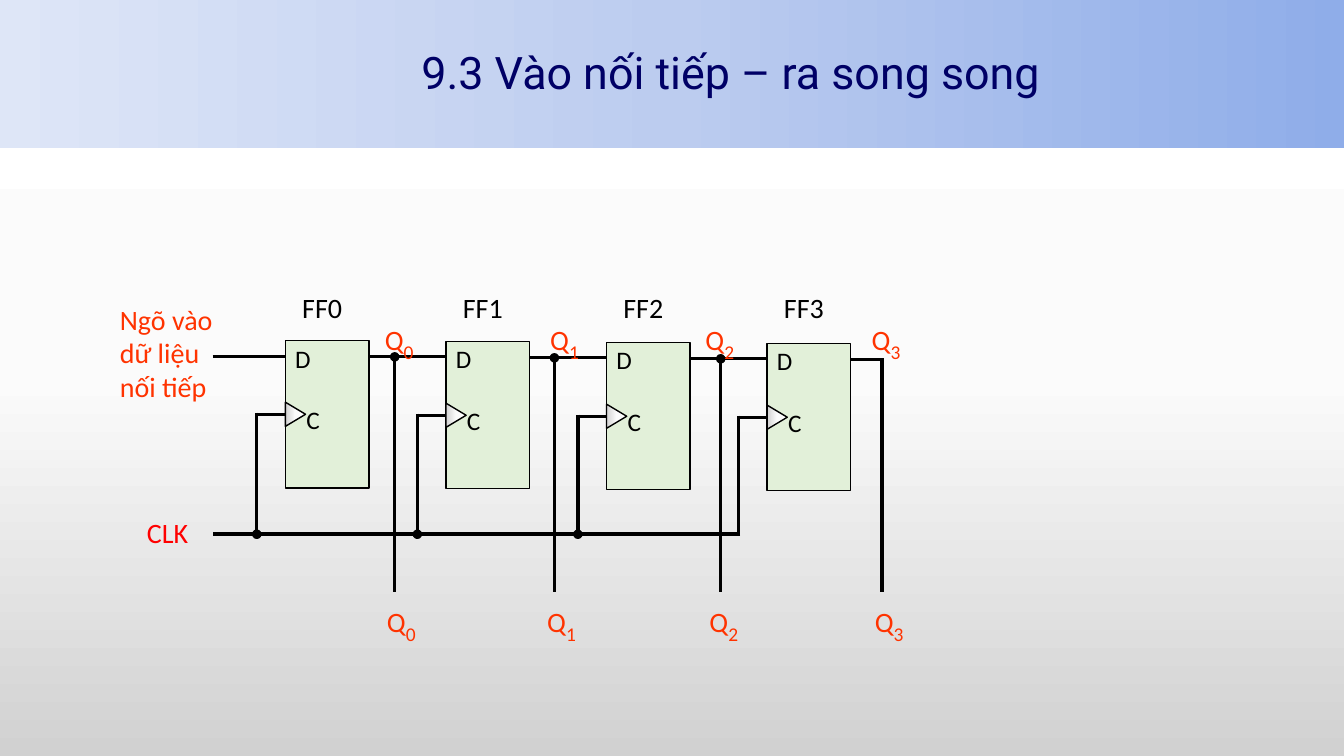
from pptx import Presentation
from pptx.dml.color import RGBColor
from pptx.enum.shapes import MSO_CONNECTOR as Connector, MSO_SHAPE as Preset
from pptx.enum.text import MSO_ANCHOR as Anchor, MSO_AUTO_SIZE as AutoSize, PP_ALIGN as Align
from pptx.oxml.ns import qn
from pptx.util import Pt
from lxml.etree import SubElement

BLACK, NAVY, ORANGE, RED, GREEN = "000000", "000066", "FF3300", "FF0000", "E2F0D9"
GREY_STOPS = [(0, "FFFFFF"), (50, "FBFBFB"), (100, "D1D1D1")]
BLUE_STOPS = [(0, "8FADE9"), (50, "BCCCEF"), (100, "DEE6F7")]
BOX_WIDTH, BOX_HEIGHT = 59.8, 105.1
INPUT_X, BUS_Y = 151.9, 381.6
TAP_X = [281.9, 396, 514.8, 630]
TOP_LABEL_X = [267.8, 385.9, 496.8, 615.6]
BOTTOM_LABEL_X = [269.3, 383.8, 499.7, 617.8]


def color(value):
    """Turn a hex string into a colour."""
    return RGBColor.from_string(value)


def fill_gradient(fill, element, stops, angle):
    """Give a fill a linear gradient with any number of stops."""
    fill.gradient()
    fill.gradient_angle = 360 - angle
    stop_list = next(element.iter(qn("a:gsLst")))
    for stop in list(stop_list):
        stop_list.remove(stop)
    for position, value in stops:
        stop = SubElement(stop_list, qn("a:gs"), pos=str(position * 1000))
        SubElement(stop, qn("a:srgbClr"), val=value)


def write(paragraph, text, size=20, font="Calibri", tint=BLACK, subscript=False):
    """Add a formatted run to a paragraph."""
    run = paragraph.add_run()
    run.text = text
    run.font.size, run.font.name = Pt(size), font
    run.font.color.rgb = color(tint)
    if subscript:
        run.font._element.set("baseline", "-25000")


def add_label(slide, lines, left, top, width, height, tint=BLACK, subscript=None):
    """Add a text box of one or more lines, with an optional subscript."""
    frame = slide.shapes.add_textbox(Pt(left), Pt(top), Pt(width), Pt(height)).text_frame
    frame.word_wrap = subscript is not None
    frame.auto_size = AutoSize.SHAPE_TO_FIT_TEXT
    for index, line in enumerate(lines):
        paragraph = frame.add_paragraph() if index else frame.paragraphs[0]
        write(paragraph, line, tint=tint)
    if subscript is not None:
        write(paragraph, subscript, size=24, tint=tint, subscript=True)


def add_shape(slide, preset, left, top, width, height, fill=None):
    """Add a shadowless shape with a thin black outline."""
    shape = slide.shapes.add_shape(preset, Pt(left), Pt(top), Pt(width), Pt(height))
    shape.shadow.inherit = False
    shape.line.color.rgb = color(BLACK)
    shape.line.width = Pt(1)
    if fill:
        shape.fill.solid()
        shape.fill.fore_color.rgb = color(fill)
    return shape


def add_wire(slide, x1, y1, x2, y2, weight=2.5):
    """Add a straight black wire."""
    wire = slide.shapes.add_connector(Connector.STRAIGHT, Pt(x1), Pt(y1), Pt(x2), Pt(y2))
    wire.line.color.rgb = color(BLACK)
    wire.line.width = Pt(weight)
    SubElement(wire._element.spPr, qn("a:effectLst"))
    return wire


def add_node(slide, x, y):
    """Add a junction dot centred on a point."""
    add_shape(slide, Preset.OVAL, x - 2.9, y - 2.9, 5.8, 5.8, fill=BLACK)


def add_header(slide, left, top, width, height):
    """Place the title on a gradient band."""
    band = add_shape(slide, Preset.RECTANGLE, left, top, width, height)
    band.line.fill.background()
    fill_gradient(band.fill, band._element, BLUE_STOPS, 180)
    slide.shapes._spTree.insert(2, band._element)
    title = slide.shapes.title
    title.left, title.top = Pt(left + 293.8), Pt(top + 1.4)
    title.width, title.height = Pt(642.2), Pt(height - 1.4)
    frame = title.text_frame
    frame.auto_size, frame.vertical_anchor = AutoSize.NONE, Anchor.MIDDLE
    paragraph = frame.paragraphs[0]
    paragraph.alignment, paragraph.line_spacing = Align.LEFT, 0.9
    write(paragraph, "9.3 Vào nối tiếp – ra song song", size=32, font="Roboto", tint=NAVY)


def add_flip_flop(slide, name, left, top):
    """Draw a named D flip-flop with its clock input and clock wire."""
    box = add_shape(slide, Preset.RECTANGLE, left, top, BOX_WIDTH, BOX_HEIGHT, fill=GREEN)
    frame = box.text_frame
    frame.vertical_anchor, frame.margin_top = Anchor.TOP, Pt(1.5)
    data, clock = frame.paragraphs[0], frame.add_paragraph()
    clock._p.get_or_add_pPr().set("marL", str(Pt(8)))
    clock.space_before = Pt(22)
    for paragraph, text in ((data, "D"), (clock, "C")):
        paragraph.alignment = Align.LEFT
        write(paragraph, text, size=18)

    middle = top + BOX_HEIGHT / 2
    triangle = add_shape(slide, Preset.ISOSCELES_TRIANGLE, left - 1.4, middle - 7.2, 17.3, 14.4)
    triangle.rotation = 90
    fill_gradient(triangle.fill, triangle._element, GREY_STOPS, 90)
    stem_x = left - 20.4
    stub = add_wire(slide, left, middle, stem_x - 1.2, middle, weight=2)
    stub.begin_connect(box, 1)
    add_wire(slide, stem_x, middle - 1.2, stem_x, BUS_Y)
    add_label(slide, [name], left + 5, 204.2, 50.4, 31.7)
    return stem_x


def add_register(slide, left, top):
    """Draw the four-stage shift register from its first flip-flop."""
    lefts = [left + 114.7 * index for index in range(4)]
    ends = lefts[1:] + [TAP_X[-1] + 1]
    add_wire(slide, INPUT_X, top + 11.5, left, top + 11.5, weight=2)
    for index, (box_left, end) in enumerate(zip(lefts, ends)):
        box_top = top + 0.7 * index
        stem_x = add_flip_flop(slide, f"FF{index}", box_left, box_top)
        wire_y = box_top + 11.5
        add_wire(slide, box_left + BOX_WIDTH, wire_y, end, wire_y, weight=2)
        tap_x = TAP_X[index]
        add_wire(slide, tap_x, wire_y - 1.2, tap_x, 423.2)
        if index < 3:
            add_node(slide, tap_x, wire_y)
            add_node(slide, stem_x, BUS_Y)
        for label_x, label_y in ((TOP_LABEL_X[index], 223), (BOTTOM_LABEL_X[index], 424.5)):
            add_label(slide, ["Q"], label_x, label_y, 46.1, 31.7, tint=ORANGE,
                      subscript=str(index))
    add_wire(slide, stem_x + 1.2, BUS_Y, INPUT_X, BUS_Y)
    add_label(slide, ["Ngõ vào", "dữ liệu", "nối tiếp"], 78.5, 212.4, 95, 79.9, tint=ORANGE)
    add_label(slide, ["CLK"], 97.9, 365, 54, 31.7, tint=RED)


def main():
    """Build and save the presentation."""
    presentation = Presentation()
    presentation.slide_width, presentation.slide_height = Pt(960), Pt(540)
    slide = presentation.slides.add_slide(presentation.slide_layouts[5])
    fill_gradient(slide.background.fill, slide._element, GREY_STOPS, 90)
    add_header(slide, 0, 0, 960, 105.8)
    add_register(slide, 203.8, 243.4)
    presentation.save("out.pptx")


if __name__ == "__main__":
    main()
